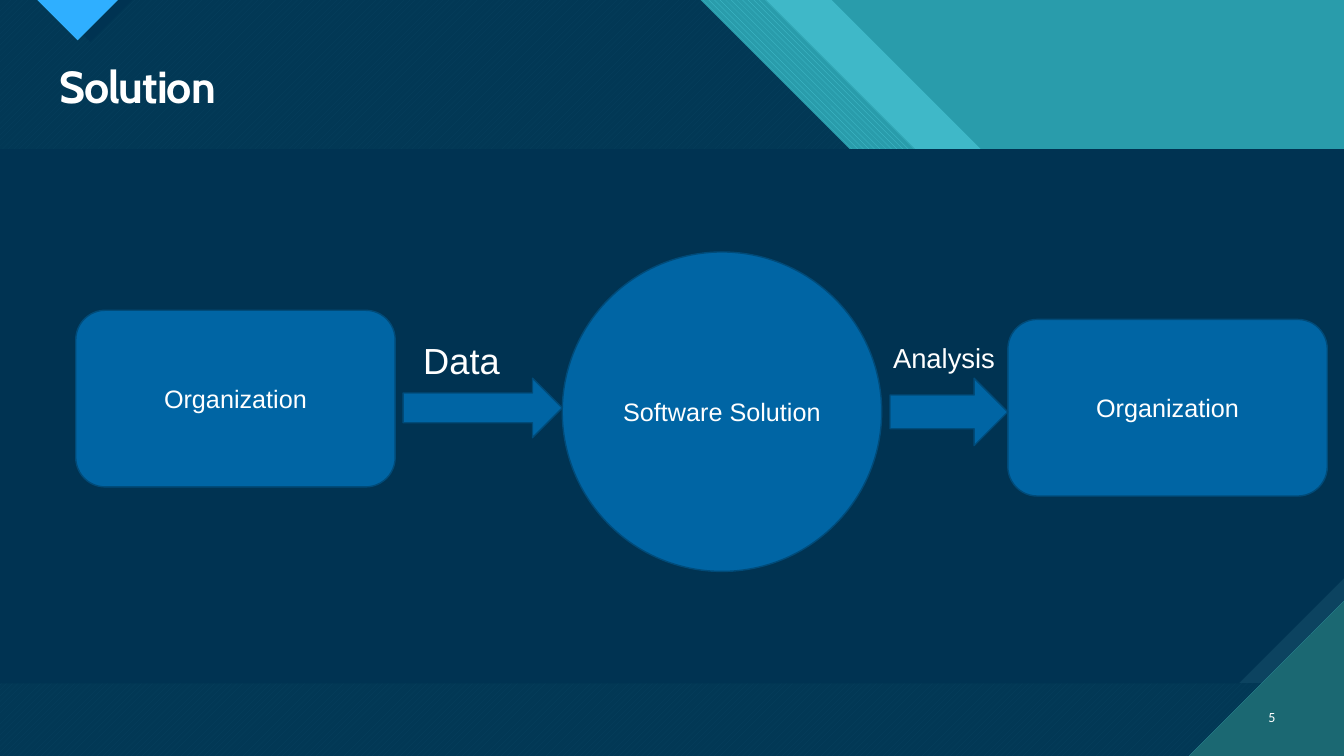
from dataclasses import dataclass

from lxml.etree import SubElement
from pptx import Presentation
from pptx.dml.color import RGBColor
from pptx.enum.dml import MSO_PATTERN as Pattern
from pptx.enum.shapes import MSO_SHAPE as Shape
from pptx.enum.text import MSO_ANCHOR as Anchor, PP_ALIGN as Align
from pptx.oxml.ns import qn
from pptx.util import Cm, Pt

SLIDE_W, SLIDE_H = 33.87, 19.05
HEADER_H, PANEL_H = 3.76, 13.46
STEP_H = 7.54


@dataclass(frozen=True)
class Theme:
    navy: str = "003352"
    panel_edge: str = "0C4360"
    teal: str = "299CAB"
    aqua: str = "47C3D3"
    deep_teal: str = "1B6872"
    sky: str = "2FAFFF"
    node: str = "0065A4"
    node_line: str = "004B79"
    white: str = "FFFFFF"
    heading_font: str = "Cabin"
    body_font: str = "Arial"
    number_font: str = "Calibri"
    title_size: float = 32
    data_size: float = 25.9
    analysis_size: float = 19.6
    node_size: float = 18
    number_size: float = 10


THEME = Theme()


def rgb(value):
    return RGBColor.from_string(value)


def paint(shape, color, pattern=None, back=None, alpha=None, line=None):
    """Fill with a colour, or a pattern of two colours; alpha is in percent."""
    shape.shadow.inherit = False
    if pattern is None:
        shape.fill.solid()
        shape.fill.fore_color.rgb = rgb(color)
    else:
        shape.fill.patterned()
        shape.fill.pattern = pattern
        shape.fill.fore_color.rgb = rgb(color)
        shape.fill.back_color.rgb = rgb(back)
    if alpha is not None:
        srgb = shape.element.spPr.find(qn("a:solidFill")).find(qn("a:srgbClr"))
        SubElement(srgb, qn("a:alpha")).set("val", str(alpha * 1000))
    if line is None:
        shape.line.fill.background()
    else:
        shape.line.color.rgb = rgb(line)
        shape.line.width = Pt(1)


def preset(slide, kind, box):
    return slide.shapes.add_shape(kind, *map(Cm, box))


def polygon(slide, points, color, **fill):
    corners = [(Cm(x), Cm(y)) for x, y in points]
    builder = slide.shapes.build_freeform(*corners[0])
    builder.add_line_segments(corners[1:], close=True)
    paint(builder.convert_to_shape(), color, **fill)


def stepped_layer(slide, top_x, step_end, color, **fill):
    """Cover the slide left of two 45-degree edges joined by a level step."""
    edge = [(top_x, 0), (top_x + STEP_H, STEP_H), (step_end, STEP_H),
            (SLIDE_W, STEP_H + SLIDE_W - step_end)]
    polygon(slide, [(0, 0), *edge, (SLIDE_W, SLIDE_H), (0, SLIDE_H)], color, **fill)


def top_marker(slide, left, width, color, **fill):
    tip = (left + width / 2, width / 2)
    polygon(slide, [(left, 0), tip, (left + width, 0)], color, **fill)


def panel(slide, snip, color, **fill):
    shape = preset(slide, Shape.SNIP_1_RECTANGLE, (0, HEADER_H, SLIDE_W, PANEL_H))
    shape.adjustments[0] = snip
    shape.element.spPr.xfrm.set("flipV", "1")
    paint(shape, color, **fill)


def backdrop(slide):
    slide.background.fill.solid()
    slide.background.fill.fore_color.rgb = rgb(THEME.aqua)
    paint(preset(slide, Shape.RECTANGLE, (0, 0, SLIDE_W, SLIDE_H)), THEME.teal)
    stepped_layer(slide, 20.96, 31.34, THEME.aqua, alpha=74)
    stepped_layer(slide, 19.3, 30.07, THEME.aqua,
                  pattern=Pattern.WIDE_DOWNWARD_DIAGONAL, back=THEME.teal)
    stepped_layer(slide, 17.65, 28.4, THEME.aqua,
                  pattern=Pattern.WIDE_UPWARD_DIAGONAL, back=THEME.deep_teal)
    stepped_layer(slide, 17.65, 28.4, THEME.navy, alpha=90)
    top_marker(slide, 1.22, 2.11, THEME.navy)
    top_marker(slide, 0.94, 2.03, THEME.sky,
               pattern=Pattern.DARK_HORIZONTAL, back=THEME.deep_teal)
    panel(slide, 0, THEME.panel_edge,
          pattern=Pattern.DARK_VERTICAL, back=THEME.deep_teal)
    panel(slide, 0.197, THEME.navy)
    corner = 3.91
    polygon(slide, [(SLIDE_W - corner, SLIDE_H), (SLIDE_W, SLIDE_H),
                    (SLIDE_W, SLIDE_H - corner)], THEME.deep_teal,
            pattern=Pattern.DARK_HORIZONTAL, back=THEME.aqua)


def write(shape, text, size, font=THEME.body_font, align=Align.CENTER,
          anchor=Anchor.MIDDLE):
    frame = shape.text_frame
    frame.word_wrap = True
    frame.vertical_anchor = anchor
    paragraph = frame.paragraphs[0]
    paragraph.text = text
    paragraph.alignment = align
    run = paragraph.runs[0]
    run.font.size = Pt(size)
    run.font.name = font
    run.font.color.rgb = rgb(THEME.white)
    return paragraph


def text_box(slide, box, text, size, **style):
    return write(slide.shapes.add_textbox(*map(Cm, box)), text, size, **style)


def title(slide, text):
    heading = text_box(slide, (1.24, 1.5, 31.14, 1.5), text, THEME.title_size,
                       font=THEME.heading_font, align=Align.LEFT, anchor=Anchor.TOP)
    heading.line_spacing = 0.9
    run = heading.runs[0]
    run.font.bold = True
    run.font.element.set("spc", "-70") if hasattr(run.font, "element") else \
        run._r.get_or_add_rPr().set("spc", "-70")


def node(slide, kind, box, text):
    shape = preset(slide, kind, box)
    paint(shape, THEME.node, line=THEME.node_line)
    write(shape, text, THEME.node_size)


def flow_arrow(slide, box):
    paint(preset(slide, Shape.RIGHT_ARROW, box), THEME.node, line=THEME.node_line)


def flow_label(slide, box, text, size):
    label = text_box(slide, box, text, size, anchor=Anchor.TOP)
    label.line_spacing = 0.7
    label.space_before = Pt(10)


def main():
    deck = Presentation()
    deck.slide_width, deck.slide_height = Cm(SLIDE_W), Cm(SLIDE_H)
    slide = deck.slides.add_slide(deck.slide_layouts[6])
    backdrop(slide)
    title(slide, "Solution")
    text_box(slide, (31.27, 17.55, 1.12, 1.02), "5", THEME.number_size,
             font=THEME.number_font, align=Align.RIGHT)
    node(slide, Shape.ROUNDED_RECTANGLE, (1.91, 7.82, 8.05, 4.45), "Organization")
    node(slide, Shape.OVAL, (14.17, 6.35, 8.05, 8.05), "Software Solution")
    node(slide, Shape.ROUNDED_RECTANGLE, (25.4, 8.05, 8.05, 4.45), "Organization")
    flow_arrow(slide, (10.16, 9.53, 4.01, 1.5))
    flow_arrow(slide, (22.43, 9.53, 2.97, 1.7))
    flow_label(slide, (7.82, 8.69, 7.62, 1.09), "Data", THEME.data_size)
    flow_label(slide, (20.78, 8.69, 6.02, 0.86), "Analysis", THEME.analysis_size)
    deck.save("out.pptx")


if __name__ == "__main__":
    main()
